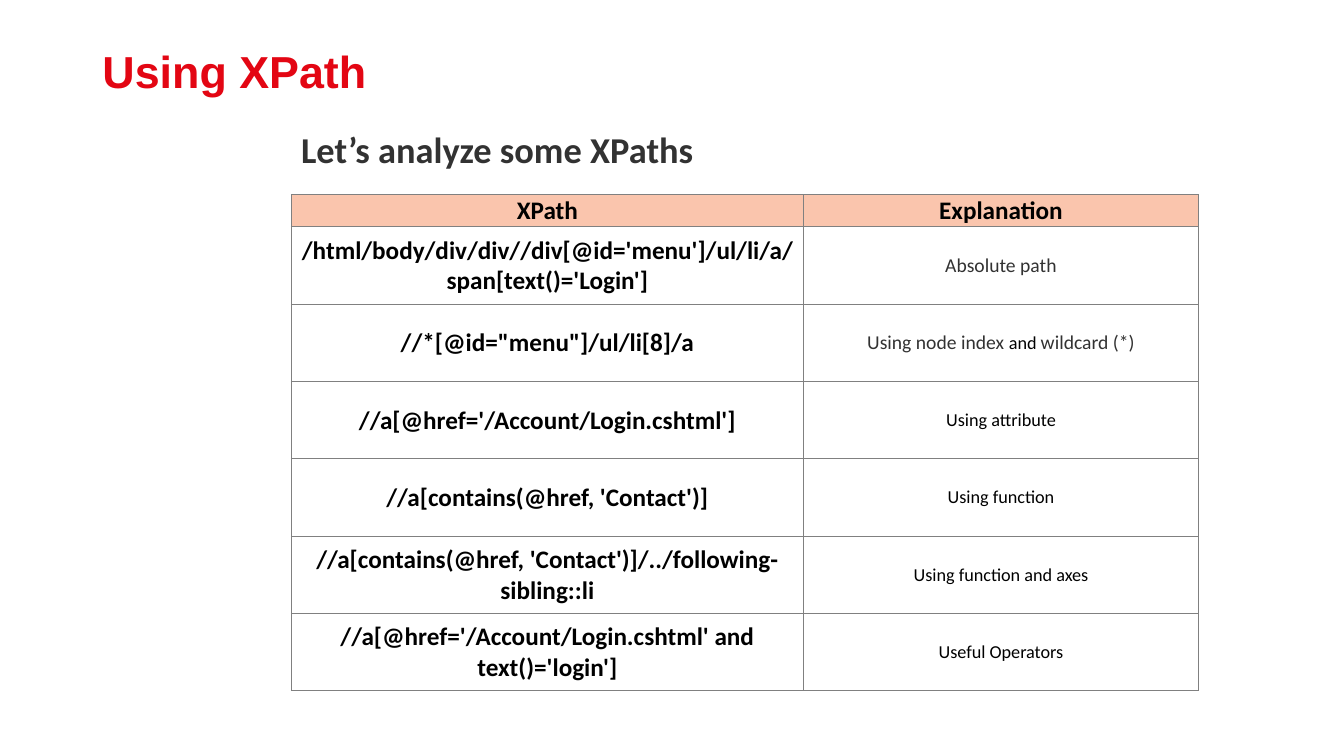
"""Build the "Using XPath" slide: a title, a subtitle and a table of XPath expressions."""
from dataclasses import dataclass

from lxml import etree
from pptx import Presentation
from pptx import util as u
from pptx.dml import color
from pptx.enum import text
from pptx.oxml import ns


@dataclass(frozen=True)
class Theme:
    title_font: str = "Arial"
    body_font: str = "Calibri"
    red: str = "E30613"
    grey: str = "323232"
    black: str = "000000"
    header_fill: str = "FAC5AD"
    border: str = "808080"
    title_size: int = 32
    subtitle_size: int = 26
    xpath_size: int = 18
    large_note: int = 14
    small_note: int = 13


theme = Theme()


def add_run(paragraph, wording, size, rgb, bold=False, font=theme.body_font):
    run = paragraph.add_run()
    run.text = wording
    run.font.name = font
    run.font.size = u.Pt(size)
    run.font.bold = bold
    run.font.color.rgb = color.RGBColor.from_string(rgb)


def add_borders(cell):
    properties = cell._tc.get_or_add_tcPr()
    for side in ("lnL", "lnR", "lnT", "lnB"):
        line = etree.SubElement(properties, ns.qn(f"a:{side}"), w=str(u.Pt(0.5)))
        fill = etree.SubElement(line, ns.qn("a:solidFill"))
        etree.SubElement(fill, ns.qn("a:srgbClr"), val=theme.border)


presentation = Presentation()
presentation.slide_width = u.Pt(960)
presentation.slide_height = u.Pt(540)
slide = presentation.slides.add_slide(presentation.slide_layouts[5])

title = slide.shapes.title
title.left, title.top, title.width, title.height = u.Pt(66), u.Pt(31.5), u.Pt(828), u.Pt(42.5)
title.text_frame.vertical_anchor = text.MSO_ANCHOR.MIDDLE
title.text_frame.auto_size = text.MSO_AUTO_SIZE.NONE
paragraph = title.text_frame.paragraphs[0]
paragraph.alignment = text.PP_ALIGN.LEFT
paragraph.line_spacing = 0.9
add_run(paragraph, "Using XPath", theme.title_size, theme.red, True, theme.title_font)

subtitle = slide.shapes.add_textbox(u.Pt(208), u.Pt(87), u.Pt(648), u.Pt(40))
subtitle.text_frame.word_wrap = True
add_run(subtitle.text_frame.paragraphs[0], "Let’s analyze some XPaths",
        theme.subtitle_size, theme.grey, True)

heading = (theme.xpath_size, theme.black, True)
dark_note = (theme.large_note, theme.grey)
note = (theme.small_note, theme.black)
rows = [
    ("XPath", [("Explanation", *heading)]),
    ("/html/body/div/div//div[@id='menu']/ul/li/a/span[text()='Login']",
     [("Absolute path", *dark_note)]),
    ('//*[@id="menu"]/ul/li[8]/a',
     [("Using node index ", *dark_note), ("and ", *note), ("wildcard (*)", *dark_note)]),
    ("//a[@href='/Account/Login.cshtml']", [("Using attribute", *note)]),
    ("//a[contains(@href, 'Contact')]", [("Using function", *note)]),
    ("//a[contains(@href, 'Contact')]/../following-sibling::li",
     [("Using function and axes", *note)]),
    ("//a[@href='/Account/Login.cshtml' and text()='login']",
     [("Useful Operators", *note)]),
]

table = slide.shapes.add_table(len(rows), 2, u.Pt(208), u.Pt(139), u.Pt(648), u.Pt(354.2)).table
table.first_row = table.horz_banding = False
for column, width in zip(table.columns, (366, 282)):
    column.width = u.Pt(width)

for row_index, (xpath, explanation) in enumerate(rows):
    table.rows[row_index].height = u.Pt(55.2 if row_index else 23)
    for column_index, runs in enumerate(([(xpath, *heading)], explanation)):
        cell = table.cell(row_index, column_index)
        cell.margin_left = cell.margin_right = cell.margin_top = u.Pt(0.7)
        cell.margin_bottom = u.Pt(0)
        cell.vertical_anchor = text.MSO_ANCHOR.MIDDLE
        add_borders(cell)
        if row_index:
            cell.fill.background()
        else:
            cell.fill.solid()
            cell.fill.fore_color.rgb = color.RGBColor.from_string(theme.header_fill)
        paragraph = cell.text_frame.paragraphs[0]
        paragraph.alignment = text.PP_ALIGN.CENTER
        for run in runs:
            add_run(paragraph, *run)

presentation.save("out.pptx")
